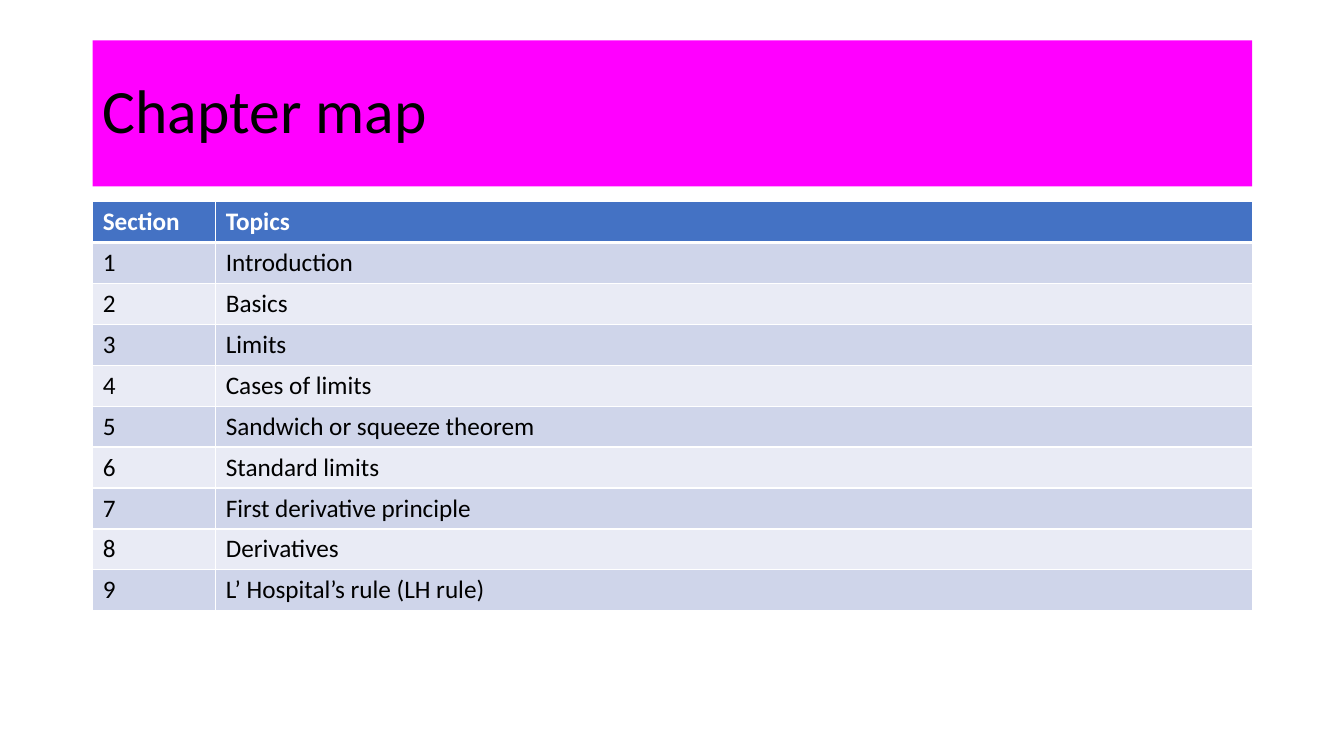
from dataclasses import dataclass

from lxml import etree
from pptx import Presentation
from pptx.dml.color import RGBColor
from pptx.enum import shapes, text
from pptx.oxml import ns
from pptx.util import Inches, Pt

HEADING = "Chapter map"
COLUMNS = ("Section", "Topics")
TOPICS = [
    "Introduction",
    "Basics",
    "Limits",
    "Cases of limits",
    "Sandwich or squeeze theorem",
    "Standard limits",
    "First derivative principle",
    "Derivatives",
    "L’ Hospital’s rule (LH rule)",
]

LEFT, WIDTH = 0.92, 11.5
HEADING_TOP, HEADING_HEIGHT = 0.4, 1.45
MAP_TOP, ROW_HEIGHT = 2, 0.406
SECTION_WIDTH = 1.22


@dataclass(frozen=True)
class Theme:
    """Colours, font and type sizes of the slide."""
    font: str = "Calibri"
    heading_size: int = 44
    map_size: int = 18
    ink: str = "000000"
    light: str = "FFFFFF"
    banner: str = "FF00FF"
    header: str = "4472C4"
    bands: tuple = ("CFD5EA", "E9EBF5")
    rule: int = 1
    header_rule: int = 3


THEME = Theme()


def paint(part, color):
    """Give a shape or cell a solid fill."""
    part.fill.solid()
    part.fill.fore_color.rgb = RGBColor.from_string(color)


def write(frame, wording, size, color, bold=False):
    """Set the wording of a text frame and format its run."""
    frame.text = wording
    font = frame.paragraphs[0].runs[0].font
    font.name, font.size, font.bold = THEME.font, Pt(size), bold
    font.color.rgb = RGBColor.from_string(color)


def add_border(cell, side, points):
    """Draw one cell edge (L, R, T or B) in the light colour."""
    properties = cell._tc.get_or_add_tcPr()
    line = etree.SubElement(properties, ns.qn(f"a:ln{side}"), w=str(Pt(points)))
    fill = etree.SubElement(line, ns.qn("a:solidFill"))
    etree.SubElement(fill, ns.qn("a:srgbClr"), val=THEME.light)


def add_heading(slide):
    """Add the heading on its banner."""
    banner = slide.shapes.add_shape(
        shapes.MSO_SHAPE.RECTANGLE, Inches(LEFT), Inches(HEADING_TOP),
        Inches(WIDTH), Inches(HEADING_HEIGHT))
    banner.shadow.inherit = False
    banner.line.fill.background()
    paint(banner, THEME.banner)
    frame = banner.text_frame
    frame.word_wrap = True
    frame.vertical_anchor = text.MSO_ANCHOR.MIDDLE
    write(frame, HEADING, THEME.heading_size, THEME.ink)
    frame.paragraphs[0].alignment = text.PP_ALIGN.LEFT
    frame.paragraphs[0].line_spacing = 0.9


def add_chapter_map(slide):
    """Add the table of numbered sections under its header row."""
    rows = [COLUMNS] + [(str(n), topic) for n, topic in enumerate(TOPICS, 1)]
    chapter_map = slide.shapes.add_table(
        len(rows), len(COLUMNS), Inches(LEFT), Inches(MAP_TOP),
        Inches(WIDTH), Inches(ROW_HEIGHT * len(rows))).table
    for column, width in zip(chapter_map.columns,
                             (SECTION_WIDTH, WIDTH - SECTION_WIDTH)):
        column.width = Inches(width)

    for r, row in enumerate(rows):
        chapter_map.rows[r].height = Inches(ROW_HEIGHT)
        is_header = r == 0
        color = THEME.light if is_header else THEME.ink
        fill = THEME.header if is_header else THEME.bands[(r - 1) % 2]
        edges = {"L": THEME.rule, "R": THEME.rule,
                 "T": THEME.header_rule if r == 1 else THEME.rule,
                 "B": THEME.header_rule if is_header else THEME.rule}
        for c, wording in enumerate(row):
            cell = chapter_map.cell(r, c)
            write(cell.text_frame, wording, THEME.map_size, color, is_header)
            for side, points in edges.items():
                add_border(cell, side, points)
            paint(cell, fill)


def main():
    """Build the slide and save it."""
    deck = Presentation()
    deck.slide_width, deck.slide_height = Inches(13.33), Inches(7.5)
    slide = deck.slides.add_slide(deck.slide_layouts[6])
    add_heading(slide)
    add_chapter_map(slide)
    deck.save("out.pptx")


main()
